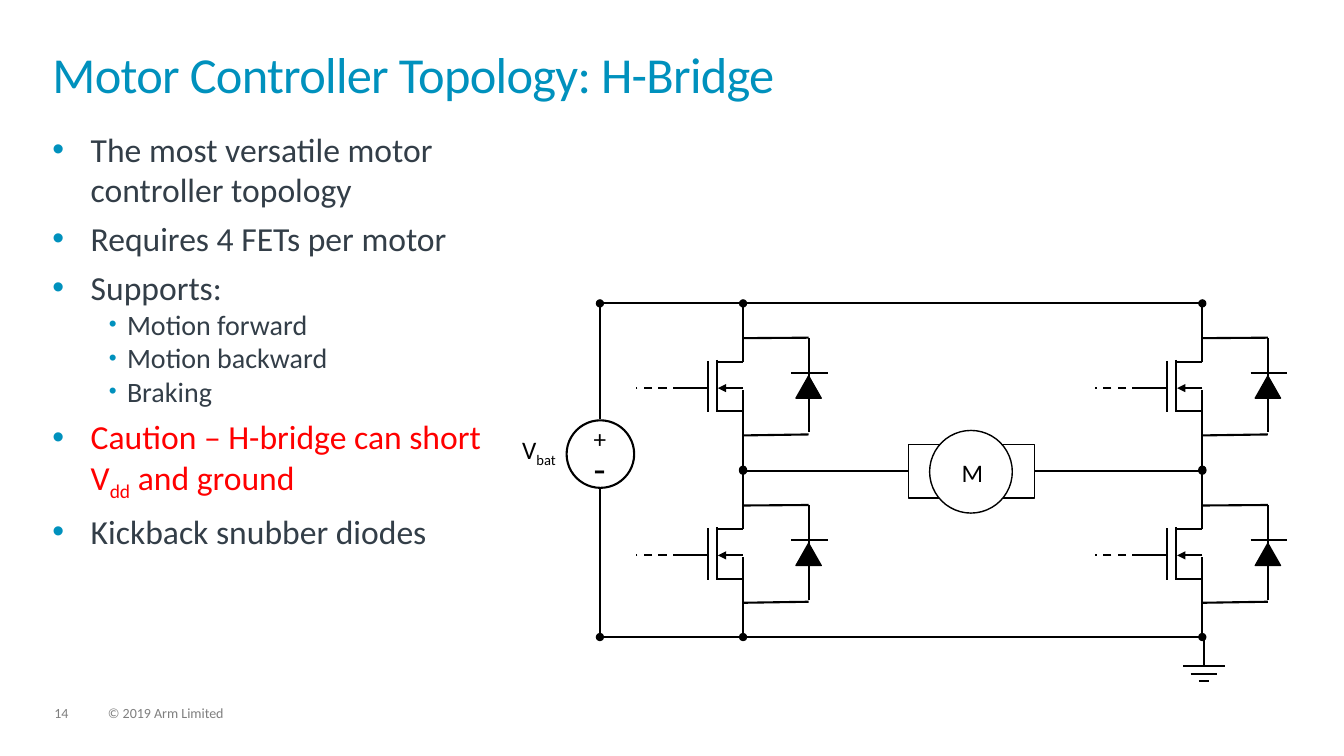
from dataclasses import dataclass

from lxml import etree
from pptx import Presentation
from pptx.dml.color import RGBColor
from pptx.enum.dml import MSO_LINE
from pptx.enum.shapes import MSO_CONNECTOR, MSO_SHAPE
from pptx.oxml.ns import qn
from pptx.util import Inches, Pt

STRAIGHT = MSO_CONNECTOR.STRAIGHT
RECTANGLE, OVAL, TRIANGLE = MSO_SHAPE.RECTANGLE, MSO_SHAPE.OVAL, MSO_SHAPE.ISOSCELES_TRIANGLE
DASH = MSO_LINE.DASH


@dataclass(frozen=True)
class Theme:
    """Colours, font and type sizes of the slide."""
    font: str = "Calibri"
    accent: str = "0091BD"
    body: str = "333E48"
    warning: str = "FF0000"
    footer: str = "7F7F7F"
    ink: str = "000000"
    paper: str = "FFFFFF"
    title_size: int = 36
    body_size: int = 24
    detail_size: int = 20
    label_size: int = 18
    minus_size: int = 28
    footer_size: int = 10
    wire: float = 1.5
    outline: float = 1


THEME = Theme()
CELL = Inches(0.1)
SOURCE_COLUMN, LEFT_COLUMN, RIGHT_COLUMN = 59.5, 73.7, 119.25
TOP_ROW, MIDDLE_ROW, BOTTOM_ROW = 30.1, 46.7, 63.2
BULLETS = [
    ("The most versatile motor controller topology", 0, THEME.body),
    ("Requires 4 FETs per motor", 0, THEME.body),
    ("Supports:", 0, THEME.body),
    ("Motion forward", 1, THEME.body),
    ("Motion backward", 1, THEME.body),
    ("Braking", 1, THEME.body),
    ("Caution – H-bridge can short V|dd| and ground", 0, THEME.warning),
    ("Kickback snubber diodes", 0, THEME.body),
]
TRANSISTOR_WIRES = [
    (0, 5.8, 0, 0, "oval"),
    (0, 8.6, 0, 16.5, "oval"),
    (0, 8.4, -2.5, 8.4, "triangle"),
    (-2.6, 5.6, -2.6, 10.8, None),
    (-3.5, 5.7, -3.5, 10.8, None),
    (0, 5.8, -2.7, 5.8, None),
    (0, 10.7, -2.6, 10.7, None),
    (-3.5, 8.4, -6.1, 8.4, None),
]
DIODE_WIRES = [
    (6.5, 3.4, 6.5, 12.8, None),
    (4.8, 6.9, 8.4, 6.9, None),
    (6.5, 3.4, 0, 3.45, None),
    (6.5, 13, 0, 13.1, None),
]


def grid(*cells):
    """Turn grid columns and rows into lengths."""
    return [int(cell * CELL) for cell in cells]


def style_font(font, size, color):
    """Set the typeface, size and colour of a font."""
    font.name, font.size = THEME.font, Pt(size)
    font.color.rgb = RGBColor.from_string(color)


def add_runs(paragraph, text):
    """Add runs to a paragraph, with text between bars as subscript."""
    for index, part in enumerate(text.split("|")):
        run = paragraph.add_run()
        run.text = part
        if index % 2:
            run.font._element.set("baseline", "-25000")


def add_text_box(slide, cells, inset=0):
    """Add a wrapping text box and return its text frame."""
    frame = slide.shapes.add_textbox(*grid(*cells)).text_frame
    frame.word_wrap = True
    frame.margin_left = grid(inset)[0]
    frame.margin_top = grid(inset / 2)[0]
    frame.margin_right = frame.margin_bottom = 0
    return frame


def add_label(slide, cells, text, size, color, inset=0, line_spacing=1.0):
    """Add a one-paragraph text box and return its paragraph."""
    paragraph = add_text_box(slide, cells, inset).paragraphs[0]
    add_runs(paragraph, text)
    paragraph.line_spacing = line_spacing
    style_font(paragraph.font, size, color)
    return paragraph


def add_bullet(paragraph, level):
    """Give a paragraph its indent and coloured bullet."""
    properties = paragraph._p.get_or_add_pPr()
    margin, hanging = [(0.38, 0.38), (0.74, 0.18)][level]
    properties.set("marL", str(Inches(margin)))
    properties.set("indent", str(-Inches(hanging)))
    color = etree.SubElement(properties, qn("a:buClr"))
    etree.SubElement(color, qn("a:srgbClr"), val=THEME.accent)
    etree.SubElement(properties, qn("a:buSzPct"), val=["100000", "80000"][level])
    etree.SubElement(properties, qn("a:buFont"), typeface="Arial")
    etree.SubElement(properties, qn("a:buChar"), char="•")


def add_bullet_list(slide, cells, items):
    """Add the two-level bullet list."""
    frame = add_text_box(slide, cells)
    for index, (text, level, color) in enumerate(items):
        paragraph = frame.add_paragraph() if index else frame.paragraphs[0]
        add_bullet(paragraph, level)
        paragraph.level = level
        paragraph.space_before = Pt(6 if index and level == 0 else 0)
        add_runs(paragraph, text)
        style_font(paragraph.font, [THEME.body_size, THEME.detail_size][level], color)


def add_wire(slide, cells, end=None, dash=None):
    """Add a straight wire, optionally dashed or with an end mark."""
    connector = slide.shapes.add_connector(STRAIGHT, *grid(*cells))
    connector.line.color.rgb = RGBColor.from_string(THEME.ink)
    connector.line.width = Pt(THEME.wire)
    if dash:
        connector.line.dash_style = dash
    if end:
        etree.SubElement(connector.line._get_or_add_ln(), qn("a:tailEnd"), type=end)
    etree.SubElement(connector._element.spPr, qn("a:effectLst"))


def add_part(slide, kind, cells, fill, width=THEME.outline):
    """Add an outlined circuit part."""
    shape = slide.shapes.add_shape(kind, *grid(*cells))
    shape.shadow.inherit = False
    shape.fill.solid()
    shape.fill.fore_color.rgb = RGBColor.from_string(fill)
    shape.line.color.rgb = RGBColor.from_string(THEME.ink)
    shape.line.width = Pt(width)


def add_switch(slide, column, row):
    """Add a transistor with its snubber diode below a node."""
    for x1, y1, x2, y2, end in TRANSISTOR_WIRES + DIODE_WIRES:
        add_wire(slide, (column + x1, row + y1, column + x2, row + y2), end)
    add_wire(slide, (column - 6.1, row + 8.4, column - 10.6, row + 8.4), dash=DASH)
    add_part(slide, TRIANGLE, (column + 5.25, row + 7.2, 2.5, 2.2), THEME.ink)


def add_motor(slide):
    """Add the motor and its leads between the two legs."""
    add_wire(slide, (LEFT_COLUMN, MIDDLE_ROW, 90.1, MIDDLE_ROW))
    add_wire(slide, (102.6, MIDDLE_ROW, RIGHT_COLUMN, MIDDLE_ROW))
    add_part(slide, RECTANGLE, (90.1, 44.1, 12.5, 5.3), THEME.paper)
    add_part(slide, OVAL, (92.2, 42.7, 8.2, 8.2), THEME.paper)
    add_label(slide, (94.4, 44.9, 10, 4), "M", THEME.label_size, THEME.ink, inset=1)


def add_source(slide):
    """Add the battery with its leads and labels."""
    add_part(slide, OVAL, (56.2, 41.7, 6.7, 6.7), THEME.paper, THEME.wire)
    add_wire(slide, (SOURCE_COLUMN, 41.6, SOURCE_COLUMN, TOP_ROW), "oval")
    add_wire(slide, (SOURCE_COLUMN, 48.4, SOURCE_COLUMN, BOTTOM_ROW), "oval")
    for cells, text, size in [
        ((57.9, 41.5, 4.4, 4.1), "+", THEME.label_size),
        ((57.9, 43.6, 4.4, 5.7), "-", THEME.minus_size),
        ((50.8, 42.6, 5.8, 4), "V|bat", THEME.label_size),
    ]:
        add_label(slide, cells, text, size, THEME.ink, inset=1)


def add_ground(slide):
    """Add the ground symbol under the right leg."""
    center = RIGHT_COLUMN + 0.15
    add_wire(slide, (center, BOTTOM_ROW, center, 66.1))
    for step, half_width in enumerate((2.05, 1.3, 0.5)):
        row = 66.1 + 0.75 * step
        add_wire(slide, (center - half_width, row, center + half_width, row))


def main():
    """Build and save the slide."""
    presentation = Presentation()
    presentation.slide_width, presentation.slide_height = Inches(13.33), Inches(7.5)
    slide = presentation.slides.add_slide(presentation.slide_layouts[6])
    add_label(slide, (5.4, 70.1, 3.4, 1.5), "14", THEME.footer_size, THEME.footer, line_spacing=0.9)
    add_label(slide, (10.7, 70.1, 17.1, 1.5), "© 2019 Arm Limited", THEME.footer_size, THEME.footer, line_spacing=0.9)
    title = add_label(slide, (5.2, 5.2, 122.8, 7.2), "Motor Controller Topology: H-Bridge",
                      THEME.title_size, THEME.accent, line_spacing=0.85)
    title.runs[0].font._element.set("spc", "-50")
    add_bullet_list(slide, (5.2, 12.8, 45.4, 44.7), BULLETS)
    add_ground(slide)
    add_motor(slide)
    for column in (LEFT_COLUMN, RIGHT_COLUMN):
        for row in (TOP_ROW, MIDDLE_ROW):
            add_switch(slide, column, row)
    for row in (TOP_ROW, BOTTOM_ROW):
        add_wire(slide, (RIGHT_COLUMN, row, SOURCE_COLUMN, row))
    add_source(slide)
    presentation.save("out.pptx")


if __name__ == "__main__":
    main()
